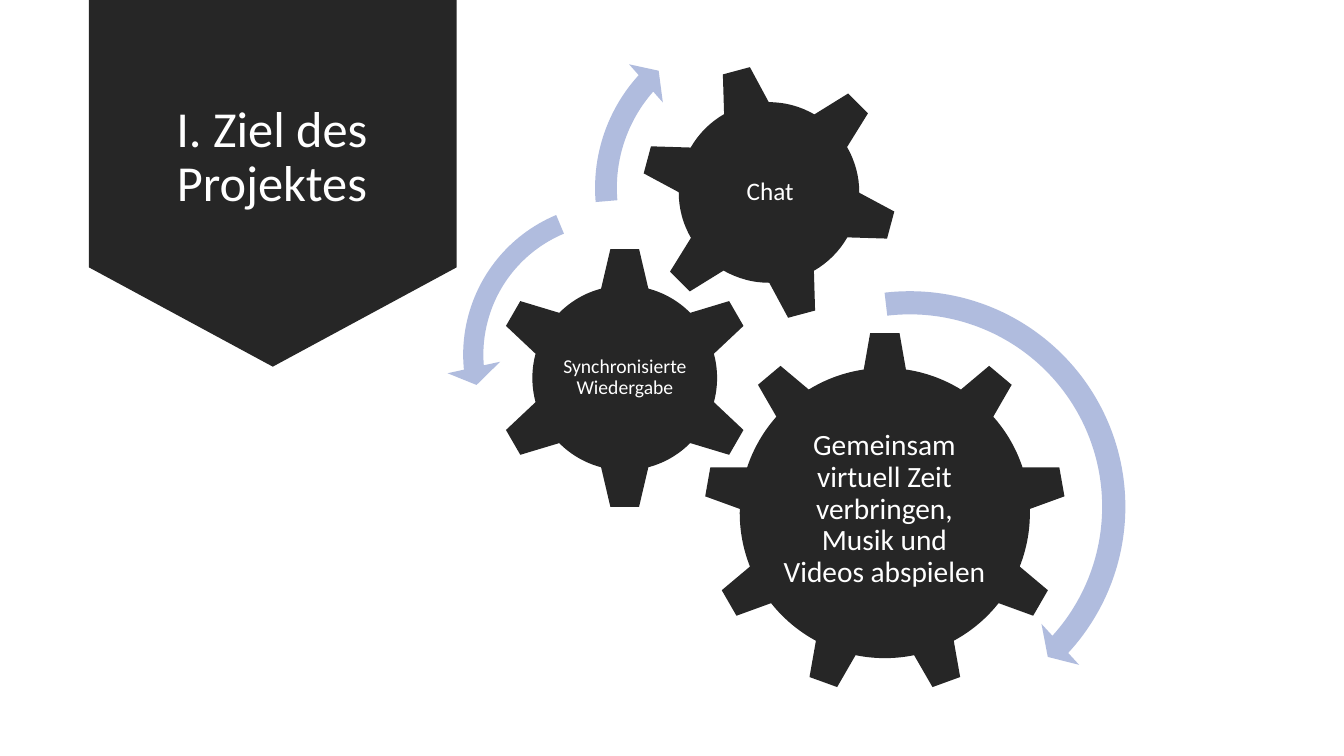
from pptx import Presentation
from pptx import util as u
from pptx.dml import color
from pptx.enum import shapes, text

DARK, ARC, WHITE = "262626", "B0BCDE", "FFFFFF"
KIND = shapes.MSO_SHAPE

# Gears: kind, left, top, size, rotation
GEARS = [
    (KIND.GEAR_9, 17.73, 8.36, 9.14, 0),
    (KIND.GEAR_6, 12.42, 6.2, 6.65, 0),
    (KIND.GEAR_6, 16.13, 1.6, 6.5, 345),
]

# Labels: wording, left, top, width, height, font size, inset
LABELS = [
    ("I. Ziel des Projektes", 2.84, 0.53, 8.03, 6.91, 36, 0.25),
    ("Gemeinsam virtuell Zeit verbringen, Musik und Videos abspielen",
     19.56, 10.49, 5.46, 4.7, 21, 0.07),
    ("Synchronisierte Wiedergabe", 14.1, 7.87, 3.3, 3.28, 14, 0.05),
    ("Chat", 17.58, 3.02, 3.66, 3.66, 18, 0.07),
]

# Curved arrows: kind, left, top, size, adjustments
ARCS = [
    (KIND.CIRCULAR_ARROW, 17.09, 6.93, 11.68, (0.05, 2.99, 25.47, 157.96, 0.06)),
    (KIND.LEFT_CIRCULAR_ARROW, 11.25, 4.7, 8.48, (0.06, 4.3, 104.89, 148.38, 0.08)),
    (KIND.CIRCULAR_ARROW, 14.63, 0.15, 9.17, (0.06, 3.94, 133.14, 105.08, 0.07)),
]


def rgb(value):
    return color.RGBColor.from_string(value)


def apply_format(target, values):
    for name, value in values.items():
        setattr(target, name, value)


def add_figure(slide, kind, left, top, size, fill, rotation=0, adjustments=()):
    """Add a square preset shape with a plain fill and no outline."""
    shape = slide.shapes.add_shape(kind, u.Cm(left), u.Cm(top), u.Cm(size), u.Cm(size))
    shape.shadow.inherit = False
    shape.rotation = rotation
    shape.fill.solid()
    shape.fill.fore_color.rgb = rgb(fill)
    shape.line.fill.background()
    for index, value in enumerate(adjustments):
        shape.adjustments[index] = value


def add_label(slide, wording, left, top, width, height, size, inset):
    """Add centred white text."""
    box = slide.shapes.add_textbox(u.Cm(left), u.Cm(top), u.Cm(width), u.Cm(height))
    frame = box.text_frame
    apply_format(frame, {
        "word_wrap": True,
        "vertical_anchor": text.MSO_ANCHOR.MIDDLE,
        "margin_left": u.Cm(inset),
        "margin_right": u.Cm(inset),
        "margin_top": u.Cm(inset / 2 if inset > 0.1 else inset),
        "margin_bottom": u.Cm(inset / 2 if inset > 0.1 else inset),
    })
    paragraph = frame.paragraphs[0]
    apply_format(paragraph, {"alignment": text.PP_ALIGN.CENTER, "line_spacing": 0.9})
    run = paragraph.add_run()
    run.text = wording
    apply_format(run.font, {"name": "Calibri", "size": u.Pt(size)})
    run.font.color.rgb = rgb(WHITE)


def main():
    presentation = Presentation()
    apply_format(presentation, {"slide_width": u.Cm(33.87), "slide_height": u.Cm(19.05)})
    slide = presentation.slides.add_slide(presentation.slide_layouts[6])

    # Title banner
    add_figure(slide, KIND.DOWN_ARROW, 2.24, -0.03, 9.27, DARK, adjustments=(1, 0.27))

    # Gears and their wording
    for kind, left, top, size, rotation in GEARS:
        add_figure(slide, kind, left, top, size, DARK, rotation)
    for label in LABELS:
        add_label(slide, *label)

    # Direction of turning
    for kind, left, top, size, adjustments in ARCS:
        add_figure(slide, kind, left, top, size, ARC, adjustments=adjustments)

    presentation.save("out.pptx")


if __name__ == "__main__":
    main()
